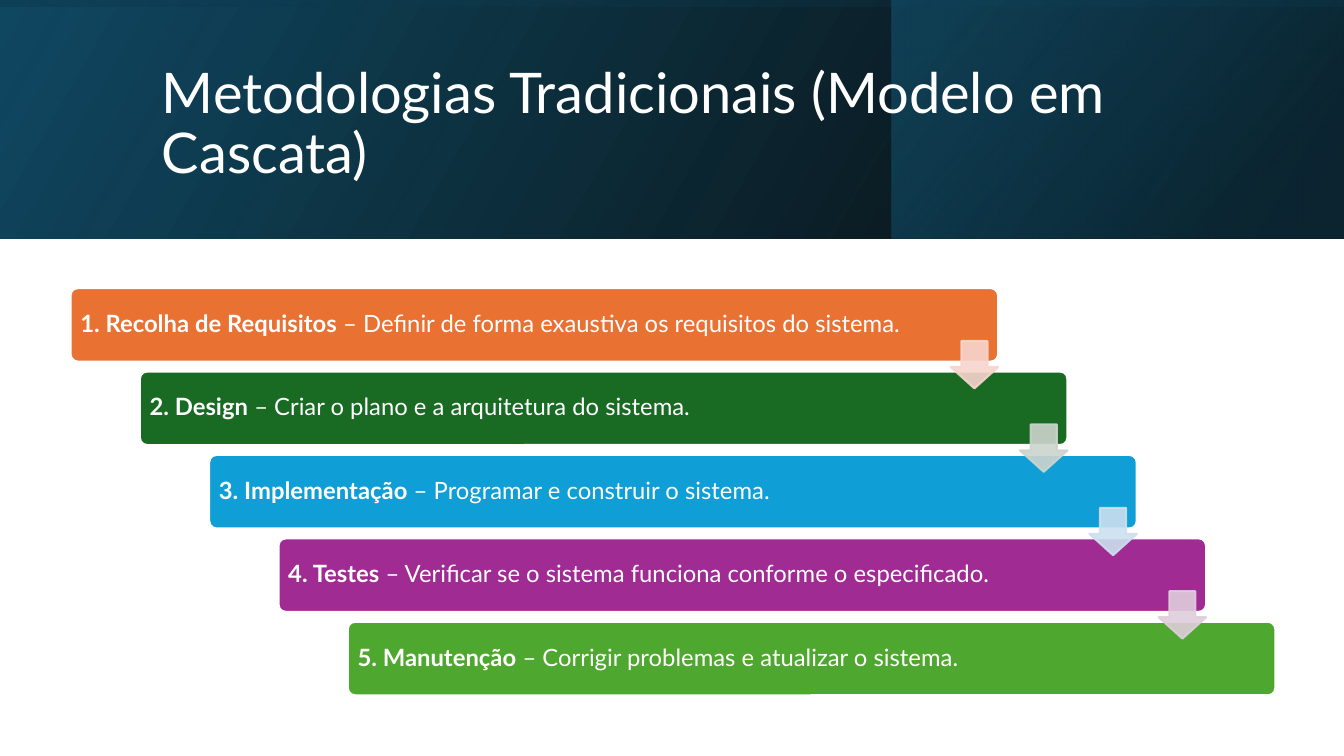
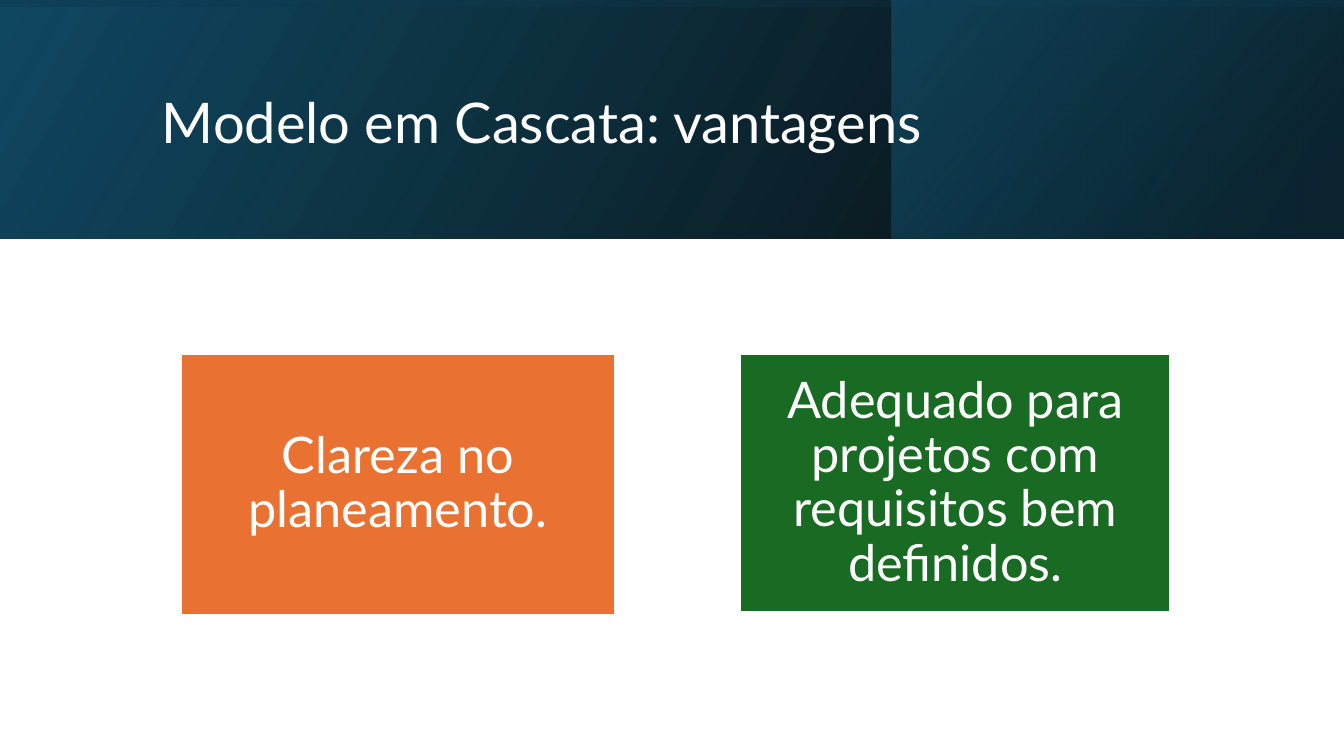
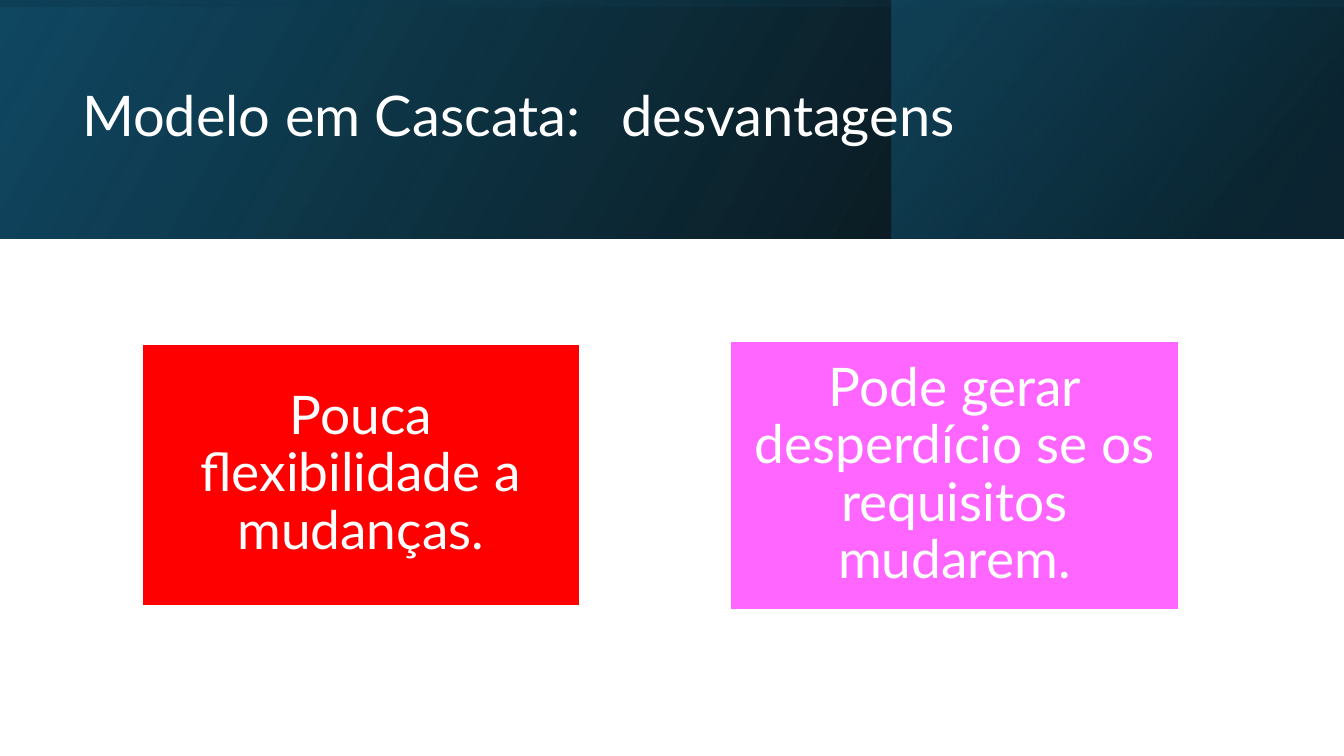
from lxml.etree import SubElement
from pptx import Presentation
from pptx.dml.color import RGBColor
from pptx.enum.shapes import MSO_SHAPE
from pptx.enum.text import MSO_ANCHOR, PP_ALIGN
from pptx.oxml.ns import qn
from pptx.util import Inches, Pt

COLUMNS, ROWS = 160, 90
BAND_ROWS = 28.4
WHITE, ORANGE, GREEN = "FFFFFF", "E97132", "196B24"
BLUE, PURPLE, LIME = "0F9ED5", "A02B93", "4EA72E"
RED, PINK = "FF0000", "FF66FF"


def colour(code):
    return RGBColor.from_string(code)


def set_opacity(shape, percents):
    """Give each colour of the shape, in order, its opacity."""
    codes = list(shape.element.spPr.iter(qn("a:srgbClr")))
    for code, percent in zip(codes, percents):
        SubElement(code, qn("a:alpha"), val=str(percent * 1000))


class SlideBuilder:
    font = "Lato"

    def __init__(self):
        self.deck = Presentation()
        self.deck.slide_width = Inches(13.33)
        self.deck.slide_height = Inches(7.5)
        self.unit = self.deck.slide_height / ROWS
        self.slide = None

    def area(self, *cells):
        """Turn left, top, width and height in grid cells into lengths."""
        return [round(cell * self.unit) for cell in cells]

    def add_slide(self, title, left=18.1, top=4.6, tab_stop=None):
        self.slide = self.deck.slides.add_slide(self.deck.slide_layouts[6])
        self.gradient((0, 0, COLUMNS, BAND_ROWS), 30,
                      [(0, "000000", 96), (1, "104862", 100)])
        self.gradient((106.1, 0, 53.8, BAND_ROWS), 40,
                      [(0.19, "0B3041", 68), (1, "156082", 48)])
        offset = (COLUMNS - BAND_ROWS) / 2
        self.gradient((offset, -offset, BAND_ROWS, COLUMNS), 10,
                      [(0.23, "104862", 16), (0.99, "000000", 45)], rotation=270)
        self.title(title, left, top, tab_stop)

    def gradient(self, cells, angle, stops, rotation=0):
        panel = self.slide.shapes.add_shape(MSO_SHAPE.RECTANGLE, *self.area(*cells))
        panel.shadow.inherit = False
        panel.rotation = rotation
        panel.element.spPr.xfrm.set("flipH", "1")
        panel.fill.gradient()
        panel.fill.gradient_angle = angle
        for stop, (position, code, _) in zip(panel.fill.gradient_stops, stops):
            stop.position = position
            stop.color.rgb = colour(code)
        set_opacity(panel, [percent for _, _, percent in stops])
        panel.line.fill.background()

    def title(self, text, left, top, tab_stop):
        box = self.slide.shapes.add_textbox(*self.area(left, top, 127.6, 20.6))
        if tab_stop:
            properties = box.text_frame.paragraphs[0]._p.get_or_add_pPr()
            tabs = SubElement(properties, qn("a:tabLst"))
            SubElement(tabs, qn("a:tab"), pos=str(self.area(tab_stop)[0]), algn="l")
        self.set_text(box.text_frame, [text], 40)

    def set_text(self, frame, texts, size, align=PP_ALIGN.LEFT, inset=None):
        """Fill one paragraph; with two texts, the first one is bold."""
        frame.word_wrap = True
        frame.vertical_anchor = MSO_ANCHOR.MIDDLE
        if inset is not None:
            margin = self.area(inset)[0]
            frame.margin_left = frame.margin_right = margin
            frame.margin_top = frame.margin_bottom = margin
        para = frame.paragraphs[0]
        para.alignment = align
        para.line_spacing = 0.9
        for index, text in enumerate(texts):
            span = para.add_run()
            span.text = text
            span.font.name = self.font
            span.font.size = Pt(size)
            span.font.bold = len(texts) > 1 and index == 0
            span.font.color.rgb = colour(WHITE)

    def block(self, kind, cells, fill, line=WHITE):
        shape = self.slide.shapes.add_shape(kind, *self.area(*cells))
        shape.shadow.inherit = False
        shape.fill.solid()
        shape.fill.fore_color.rgb = colour(fill)
        shape.line.color.rgb = colour(line)
        shape.line.width = Pt(1.5)
        return shape

    def step(self, cells, fill, name, detail):
        bar = self.block(MSO_SHAPE.ROUNDED_RECTANGLE, cells, fill)
        bar.adjustments[0] = 0.1
        self.set_text(bar.text_frame, [name, f" – {detail}"], 17, inset=0.9)

    def arrow(self, cells, fill):
        arrow = self.block(MSO_SHAPE.DOWN_ARROW, cells, fill, fill)
        arrow.adjustments[0], arrow.adjustments[1] = 0.55, 0.45
        set_opacity(arrow, [90, 90])

    def card(self, cells, fill, text, size):
        card = self.block(MSO_SHAPE.RECTANGLE, cells, fill)
        self.set_text(card.text_frame, [text], size, PP_ALIGN.CENTER, inset=size / 20)


def waterfall_slide(builder):
    steps = [
        (ORANGE, "1. Recolha de Requisitos",
         "Definir de forma exaustiva os requisitos do sistema."),
        (GREEN, "2. Design", "Criar o plano e a arquitetura do sistema."),
        (BLUE, "3. Implementação", "Programar e construir o sistema."),
        (PURPLE, "4. Testes",
         "Verificar se o sistema funciona conforme o especificado."),
        (LIME, "5. Manutenção", "Corrigir problemas e atualizar o sistema."),
    ]
    arrow_fills = ["F7D5CE", "CCD4CD", "CCDFEF", "DFCDDC"]
    width, height, arrow_size = 110.4, 8.76, 5.64
    corners = [(8.4 + 8.25 * index, 34.3 + 9.93 * index)
               for index in range(len(steps))]
    builder.add_slide("Metodologias Tradicionais (Modelo em Cascata)")
    for (left, top), step in zip(corners, steps):
        builder.step((left, top, width, height), *step)
    for (left, top), fill in zip(corners, arrow_fills):
        builder.arrow((left + width - arrow_size, top + 6.3,
                       arrow_size, arrow_size), fill)


def main():
    builder = SlideBuilder()
    waterfall_slide(builder)

    builder.add_slide("Modelo em Cascata: vantagens")
    builder.card((21.5, 42.1, 51.7, 31.1), ORANGE, "Clareza no planeamento.", 36)
    builder.card((88.1, 42.2, 51.2, 30.7), GREEN,
                 "Adequado para projetos com requisitos bem definidos.", 36)

    builder.add_slide("Modelo em Cascata:\tdesvantagens", 8.6, 3.8, tab_stop=64.2)
    builder.card((16.9, 40.9, 52.1, 31.2), RED, "Pouca flexibilidade a mudanças.", 38)
    builder.card((86.9, 40.6, 53.4, 32), PINK,
                 "Pode gerar desperdício se os requisitos mudarem.", 38)

    builder.deck.save("out.pptx")


if __name__ == "__main__":
    main()
